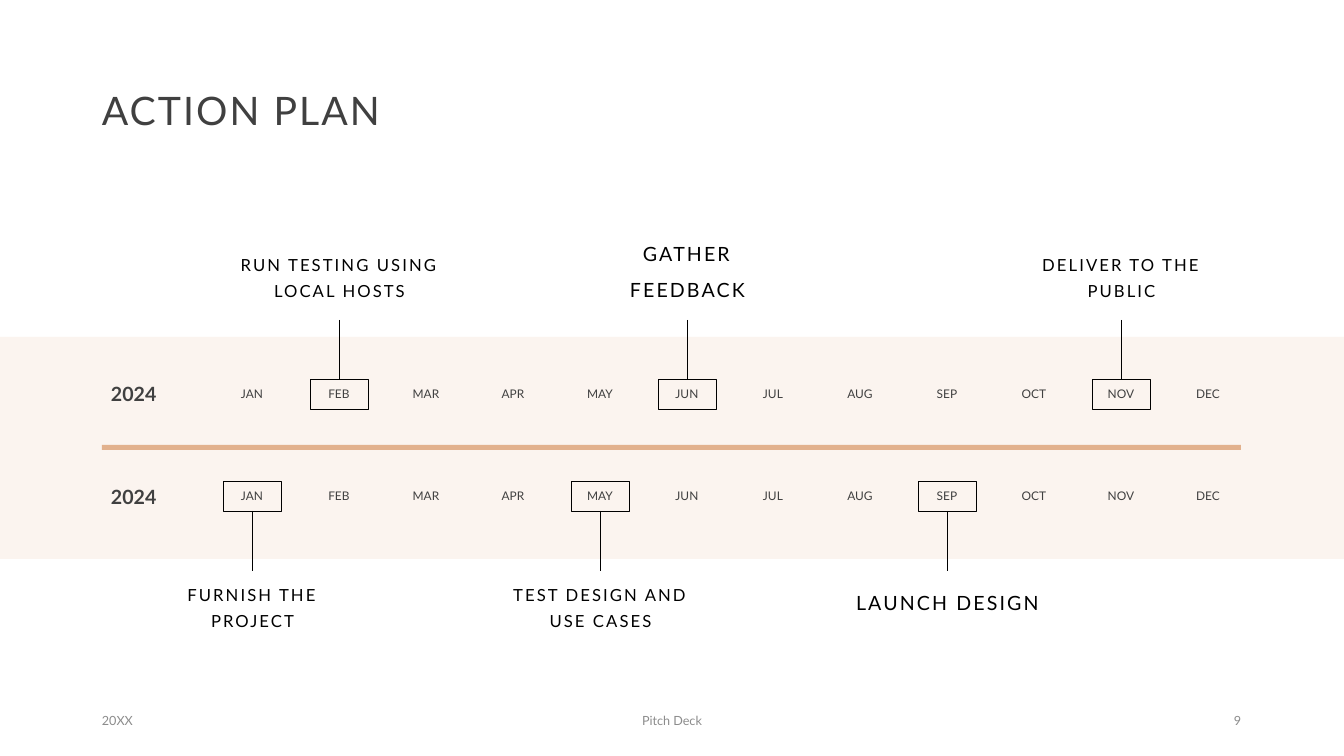
from lxml.etree import SubElement
from pptx import Presentation
from pptx.dml.color import RGBColor
from pptx.enum.shapes import MSO_CONNECTOR, MSO_SHAPE
from pptx.enum.text import MSO_ANCHOR, PP_ALIGN
from pptx.oxml.ns import qn
from pptx.util import Emu, Pt

PX_PER_INCH = 100.8
MONTHS = "JAN FEB MAR APR MAY JUN JUL AUG SEP OCT NOV DEC".split()
FIRST_MONTH_X, LAST_MONTH_X = 252, 1208
FRAME_WIDTH, FRAME_HEIGHT = 58, 30
LABEL_WIDTH, LABEL_HEIGHT = 227, 61
DARK, BLACK, GREY = "404040", "000000", "8C8C8C"

# Milestones by month: text, font size, line spacing
UPPER_MILESTONES = {
    "FEB": ("RUN TESTING USING LOCAL HOSTS", 11.9, 1.3),
    "JUN": ("GATHER FEEDBACK", 14, 1.5),
    "NOV": ("DELIVER TO THE PUBLIC", 11.9, 1.3),
}
LOWER_MILESTONES = {
    "JAN": ("FURNISH THE PROJECT", 11.9, 1.3),
    "MAY": ("TEST DESIGN AND USE CASES", 11.9, 1.3),
    "SEP": ("LAUNCH DESIGN", 14, 1.5),
}


def px(length):
    return Emu(round(length * 914400 / PX_PER_INCH))


def color(hex_value):
    return RGBColor.from_string(hex_value)


def add_text(page, text, left, top, width, height, size, hex_color,
             align=PP_ALIGN.LEFT, anchor=MSO_ANCHOR.MIDDLE,
             line_spacing=1.0, bold=False, tracking=0):
    box = page.shapes.add_textbox(px(left), px(top), px(width), px(height))
    frame = box.text_frame
    frame.word_wrap = True
    frame.vertical_anchor = anchor
    para = frame.paragraphs[0]
    para.text = text
    para.alignment = align
    para.line_spacing = line_spacing
    font = para.font
    font.name = "Lato"
    font.size = Pt(size)
    font.bold = bold
    font.color.rgb = color(hex_color)
    if tracking:
        para._p.pPr.find(qn("a:defRPr")).set("spc", str(tracking))


def add_rectangle(page, left, top, width, height, fill=None, line=None):
    box = page.shapes.add_shape(MSO_SHAPE.RECTANGLE, px(left), px(top),
                                px(width), px(height))
    box.shadow.inherit = False
    if fill:
        box.fill.solid()
        box.fill.fore_color.rgb = color(fill)
    else:
        box.fill.background()
    if line:
        box.line.color.rgb = color(line)
        box.line.width = Pt(0.5)
    else:
        box.line.fill.background()


def add_stem(page, x, top, bottom):
    stem = page.shapes.add_connector(MSO_CONNECTOR.STRAIGHT, px(x), px(top),
                                     px(x), px(bottom))
    stem.line.color.rgb = color(BLACK)
    stem.line.width = Pt(0.5)
    SubElement(stem._element.spPr, qn("a:effectLst"))


def month_center(month):
    step = (LAST_MONTH_X - FIRST_MONTH_X) / (len(MONTHS) - 1)
    return round(FIRST_MONTH_X + MONTHS.index(month) * step)


def add_year_row(page, year, year_top, frame_top):
    add_text(page, year, 101, year_top, 81, 50, 14, DARK,
             line_spacing=0.9, bold=True)
    for month in MONTHS:
        add_text(page, month, month_center(month) - 35, frame_top + 7, 70, 22,
                 8.5, DARK, PP_ALIGN.CENTER, MSO_ANCHOR.TOP, 0.7)


def add_milestones(page, milestones, frame_top, stem_top, stem_bottom,
                   label_top, label_anchor):
    for month, (text, size, line_spacing) in milestones.items():
        center = month_center(month)
        add_rectangle(page, center - FRAME_WIDTH // 2, frame_top,
                      FRAME_WIDTH, FRAME_HEIGHT, line=BLACK)
        add_stem(page, center, stem_top, stem_bottom)
        add_text(page, text, center - LABEL_WIDTH // 2, label_top,
                 LABEL_WIDTH, LABEL_HEIGHT, size, BLACK, PP_ALIGN.CENTER,
                 label_anchor, line_spacing, tracking=150)


def add_footer(page):
    for text, left, width, align in (
        ("20XX", 92, 302, PP_ALIGN.LEFT),
        ("Pitch Deck", 445, 454, PP_ALIGN.CENTER),
        ("9", 949, 302, PP_ALIGN.RIGHT),
    ):
        add_text(page, text, left, 700, width, 40, 9, GREY, align)


def main():
    deck = Presentation()
    deck.slide_width, deck.slide_height = px(1344), px(756)
    page = deck.slides.add_slide(deck.slide_layouts[6])

    # Band, divider and title
    add_rectangle(page, 0, 337, 1344, 222, fill="FBF4EF")
    add_rectangle(page, 102, 445, 1139, 5, fill="E2B18D")
    add_text(page, "ACTION PLAN", 92, 40, 1159, 146, 28, DARK,
             line_spacing=0.9, tracking=150)

    # Upper timeline, labels above
    add_year_row(page, "2024", 370, 379)
    add_milestones(page, UPPER_MILESTONES, 379, 320, 379, 245,
                   MSO_ANCHOR.BOTTOM)

    # Lower timeline, labels below
    add_year_row(page, "2024", 473, 481)
    add_milestones(page, LOWER_MILESTONES, 481, 511, 571, 574,
                   MSO_ANCHOR.TOP)

    add_footer(page)
    deck.save("out.pptx")


if __name__ == "__main__":
    main()
